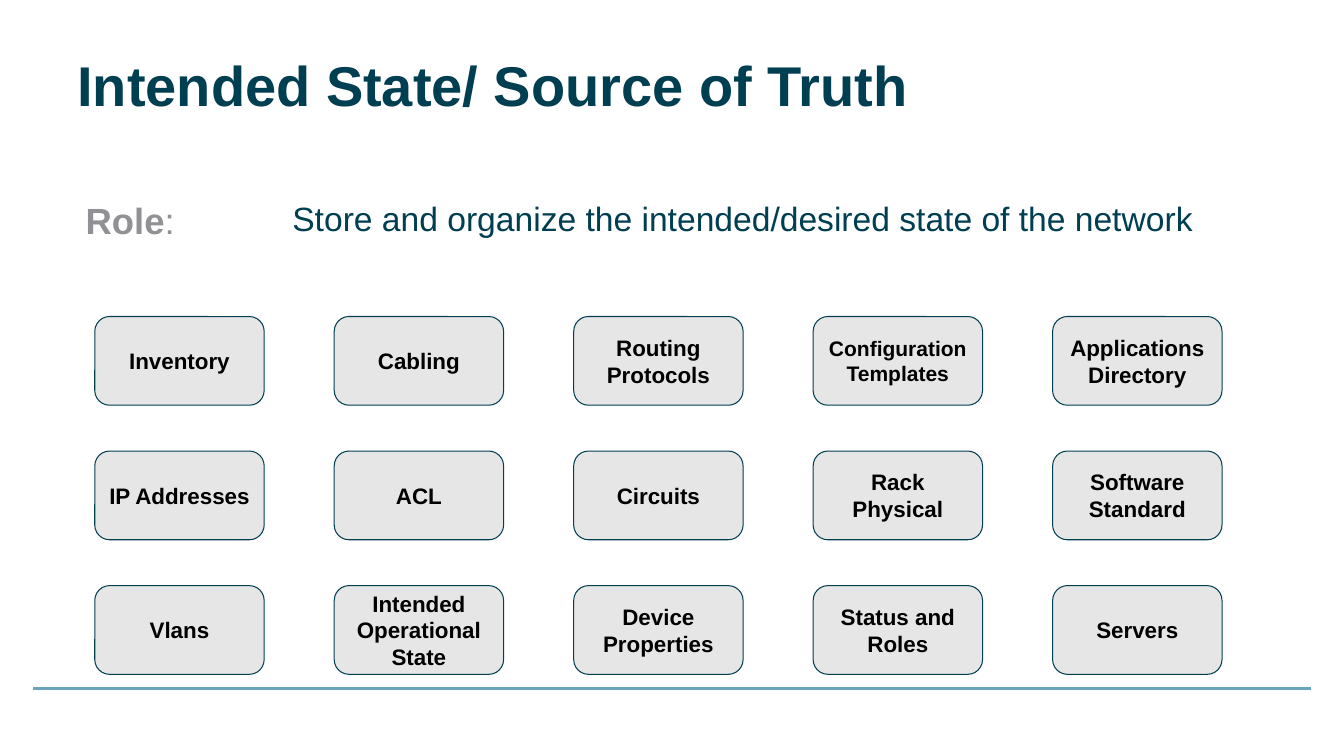
from lxml.etree import SubElement
from pptx import Presentation
from pptx.dml.color import RGBColor
from pptx.enum.shapes import MSO_CONNECTOR, MSO_SHAPE
from pptx.enum.text import MSO_ANCHOR, PP_ALIGN
from pptx.oxml.ns import qn
from pptx.util import Inches, Pt

COLORS = {
    "navy": "003E51",
    "rule": "6BA3BC",
    "label": "919195",
    "card": "E7E6E6",
    "black": "000000",
}
CARD_ROWS = [
    ["Inventory", "Cabling", "Routing Protocols", "Configuration Templates",
     "Applications\vDirectory"],
    ["IP Addresses", "ACL", "Circuits", "Rack\vPhysical", "Software Standard"],
    ["Vlans", "Intended Operational State", "Device Properties",
     "Status and Roles", "Servers"],
]
SMALLER_CARDS = {"Configuration Templates": 15}


def color(name):
    """Return a palette colour."""
    return RGBColor.from_string(COLORS[name])


def style_run(run, size, color_name, bold=False):
    """Set the font of one run."""
    run.font.name = "Arial"
    run.font.size = Pt(size)
    run.font.bold = bold
    run.font.color.rgb = color(color_name)


def add_rule(slide):
    """Draw the line across the foot of the slide."""
    rule = slide.shapes.add_connector(
        MSO_CONNECTOR.STRAIGHT, Inches(0.33), Inches(6.83), Inches(13), Inches(6.83))
    rule.line.color.rgb = color("rule")
    rule.line.width = Pt(1.5)
    SubElement(rule._element.spPr, qn("a:effectLst"))


def add_title(slide, text):
    """Add the heading of the slide."""
    title = slide.shapes.add_textbox(Inches(0.67), Inches(0.25), Inches(12), Inches(1.25))
    frame = title.text_frame
    frame.word_wrap = True
    frame.vertical_anchor = MSO_ANCHOR.MIDDLE
    frame.text = text
    paragraph = frame.paragraphs[0]
    paragraph.line_spacing = 0.9
    style_run(paragraph.runs[0], 40, "navy", bold=True)


def add_role_table(slide, label, description):
    """Add the one-row table that states the role."""
    widths = [Inches(2.05), Inches(9.79)]
    table = slide.shapes.add_table(
        1, 2, Inches(0.75), Inches(1.9), sum(widths), Inches(0.42)).table
    table.first_row = False
    table.horz_banding = False
    for column, width in zip(table.columns, widths):
        column.width = width
    for cell in table.iter_cells():
        cell.fill.background()
        cell.margin_left = cell.margin_right = Inches(0.1)
        cell.margin_top = cell.margin_bottom = Inches(0.1)
    label_cell, description_cell = table.iter_cells()
    label_cell.text = label
    paragraph = label_cell.text_frame.paragraphs[0]
    style_run(paragraph.runs[0], 26, "label", bold=True)
    colon = paragraph.add_run()
    colon.text = ":"
    style_run(colon, 26, "label")
    description_cell.text = description
    style_run(description_cell.text_frame.paragraphs[0].runs[0], 24, "navy")


def add_card(slide, text, left, top):
    """Add one rounded card with centred text."""
    card = slide.shapes.add_shape(
        MSO_SHAPE.ROUNDED_RECTANGLE, left, top, Inches(1.68), Inches(0.88))
    card.shadow.inherit = False
    card.fill.solid()
    card.fill.fore_color.rgb = color("card")
    card.line.color.rgb = color("navy")
    card.line.width = Pt(0.75)
    frame = card.text_frame
    frame.word_wrap = True
    frame.vertical_anchor = MSO_ANCHOR.MIDDLE
    frame.margin_left = frame.margin_right = Inches(0.1)
    frame.margin_top = frame.margin_bottom = Inches(0.1)
    frame.text = text
    paragraph = frame.paragraphs[0]
    paragraph.alignment = PP_ALIGN.CENTER
    for run in paragraph.runs:
        style_run(run, SMALLER_CARDS.get(text, 16), "black", bold=True)


def add_card_grid(slide):
    """Lay the cards out in even rows and columns."""
    for row, texts in enumerate(CARD_ROWS):
        for column, text in enumerate(texts):
            add_card(slide, text, Inches(0.94 + 2.375 * column),
                     Inches(3.14 + 1.335 * row))


def main():
    """Build and save the slide."""
    presentation = Presentation()
    presentation.slide_width = Inches(13.33)
    presentation.slide_height = Inches(7.5)
    slide = presentation.slides.add_slide(presentation.slide_layouts[6])
    add_rule(slide)
    add_title(slide, "Intended State/ Source of Truth")
    add_role_table(slide, "Role",
                   "Store and organize the intended/desired state of the network")
    add_card_grid(slide)
    presentation.save("out.pptx")


if __name__ == "__main__":
    main()
